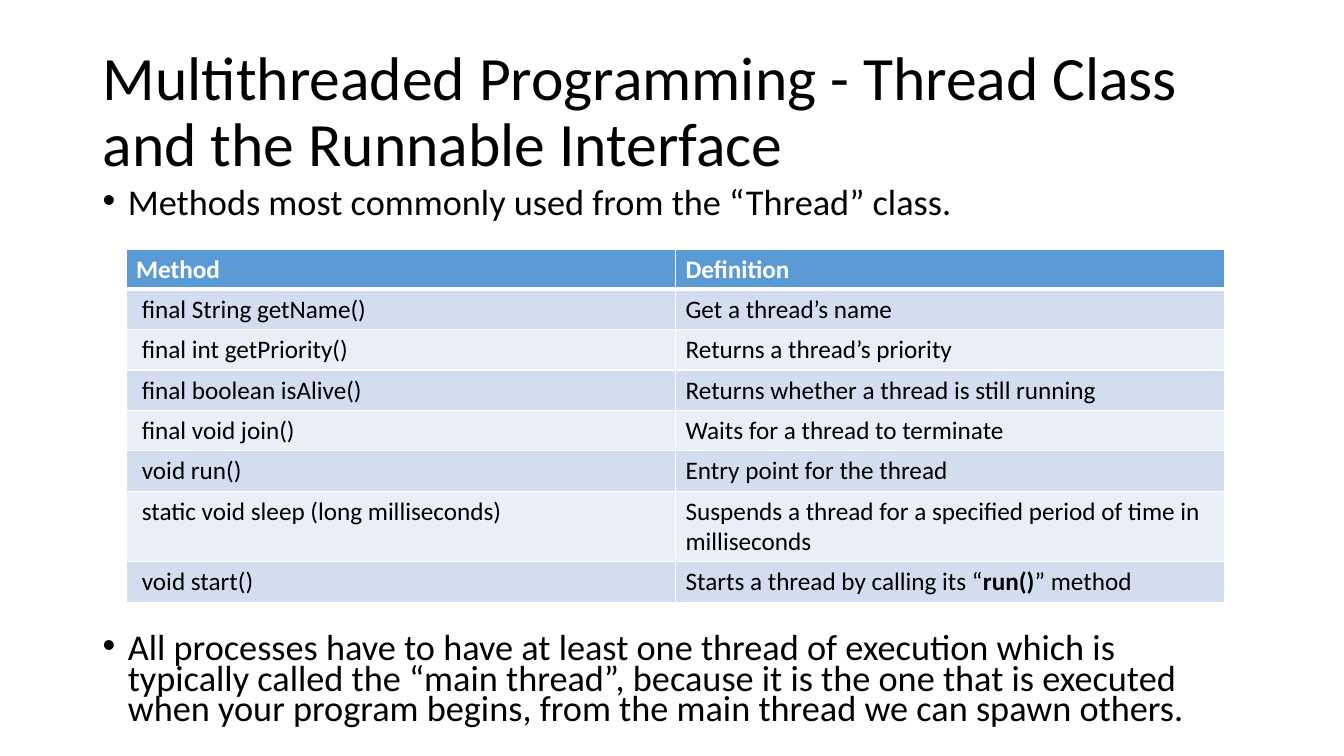
from lxml.etree import SubElement
from pptx import Presentation
from pptx.dml.color import RGBColor
from pptx.enum.text import MSO_ANCHOR
from pptx.oxml.ns import qn
from pptx.util import Inches, Pt

COLORS = {
    "text": "000000",
    "light": "FFFFFF",
    "header": "5B9BD5",
    "odd_row": "D2DEEF",
    "even_row": "EAEFF7",
}
FONT = "Calibri"
TITLE = "Multithreaded Programming - Thread Class and the Runnable Interface"
BULLETS = [
    ("Methods most commonly used from the “Thread” class.", 10),
    (
        "All processes have to have at least one thread of execution which is "
        "typically called the “main thread”, because it is the one that is executed "
        "when your program begins, from the main thread we can spawn others.",
        296,
    ),
]
METHODS = [
    ("Method", ["Definition"]),
    (" final String getName()", ["Get a thread’s name"]),
    (" final int getPriority()", ["Returns a thread’s priority"]),
    (" final boolean isAlive()", ["Returns whether a thread is still running"]),
    (" final void join()", ["Waits for a thread to terminate"]),
    (" void run()", ["Entry point for the thread"]),
    (
        " static void sleep (long milliseconds)",
        ["Suspends a thread for a specified period of time in milliseconds"],
    ),
    (" void start()", ["Starts a thread by calling its “", "run()", "” method"]),
]


def apply_format(target, values):
    for name, value in values.items():
        setattr(target, name, value)


def add_span(para, text, size, color="text", bold=False):
    span = para.add_run()
    span.text = text
    apply_format(span.font, {"name": FONT, "size": Pt(size), "bold": bold})
    span.font.color.rgb = RGBColor.from_string(COLORS[color])


def add_text_frame(page, box, anchor):
    frame = page.shapes.add_textbox(*map(Inches, box)).text_frame
    apply_format(frame, {"word_wrap": True, "vertical_anchor": anchor})
    return frame


def add_title(page, box):
    para = add_text_frame(page, box, MSO_ANCHOR.MIDDLE).paragraphs[0]
    para.line_spacing = 0.9
    add_span(para, TITLE, 44)


def add_bullets(page, box):
    frame = add_text_frame(page, box, MSO_ANCHOR.TOP)
    for index, (text, gap) in enumerate(BULLETS):
        para = frame.add_paragraph() if index else frame.paragraphs[0]
        apply_format(para, {"line_spacing": 0.7, "space_before": Pt(gap)})
        properties = para._p.get_or_add_pPr()
        properties.set("marL", str(Inches(0.25)))
        properties.set("indent", str(-Inches(0.25)))
        SubElement(properties, qn("a:buFont"), typeface="Arial")
        SubElement(properties, qn("a:buChar"), char="•")
        add_span(para, text, 25.9)


def add_borders(cell, widths):
    properties = cell._tc.get_or_add_tcPr()
    for side, width in widths.items():
        line = SubElement(properties, qn(f"a:ln{side}"), w=str(Pt(width)))
        fill = SubElement(line, qn("a:solidFill"))
        SubElement(fill, qn("a:srgbClr"), val=COLORS["light"])


def fill_cell(cell, parts, row):
    is_header = row == 0
    fill_name = "header" if is_header else "odd_row" if row % 2 else "even_row"
    add_borders(
        cell,
        {"L": 1, "R": 1, "T": 3 if row == 1 else 1, "B": 3 if is_header else 1},
    )
    cell.fill.solid()
    cell.fill.fore_color.rgb = RGBColor.from_string(COLORS[fill_name])
    para = cell.text_frame.paragraphs[0]
    for index, text in enumerate(parts):
        color = "light" if is_header else "text"
        add_span(para, text, 18, color, is_header or index == 1)


def add_methods_table(page, box):
    shape = page.shapes.add_table(len(METHODS), 2, *map(Inches, box))
    for row, (method, definition) in enumerate(METHODS):
        for column, parts in enumerate(([method], definition)):
            fill_cell(shape.table.cell(row, column), parts, row)


def main():
    deck = Presentation()
    apply_format(deck, {"slide_width": Inches(13.33), "slide_height": Inches(7.5)})
    page = deck.slides.add_slide(deck.slide_layouts[6])
    add_title(page, (0.92, 0.4, 11.5, 1.45))
    add_bullets(page, (0.92, 1.85, 11.23, 5.48))
    add_methods_table(page, (1.25, 2.47, 10.9, 3.2))
    deck.save("out.pptx")


if __name__ == "__main__":
    main()
